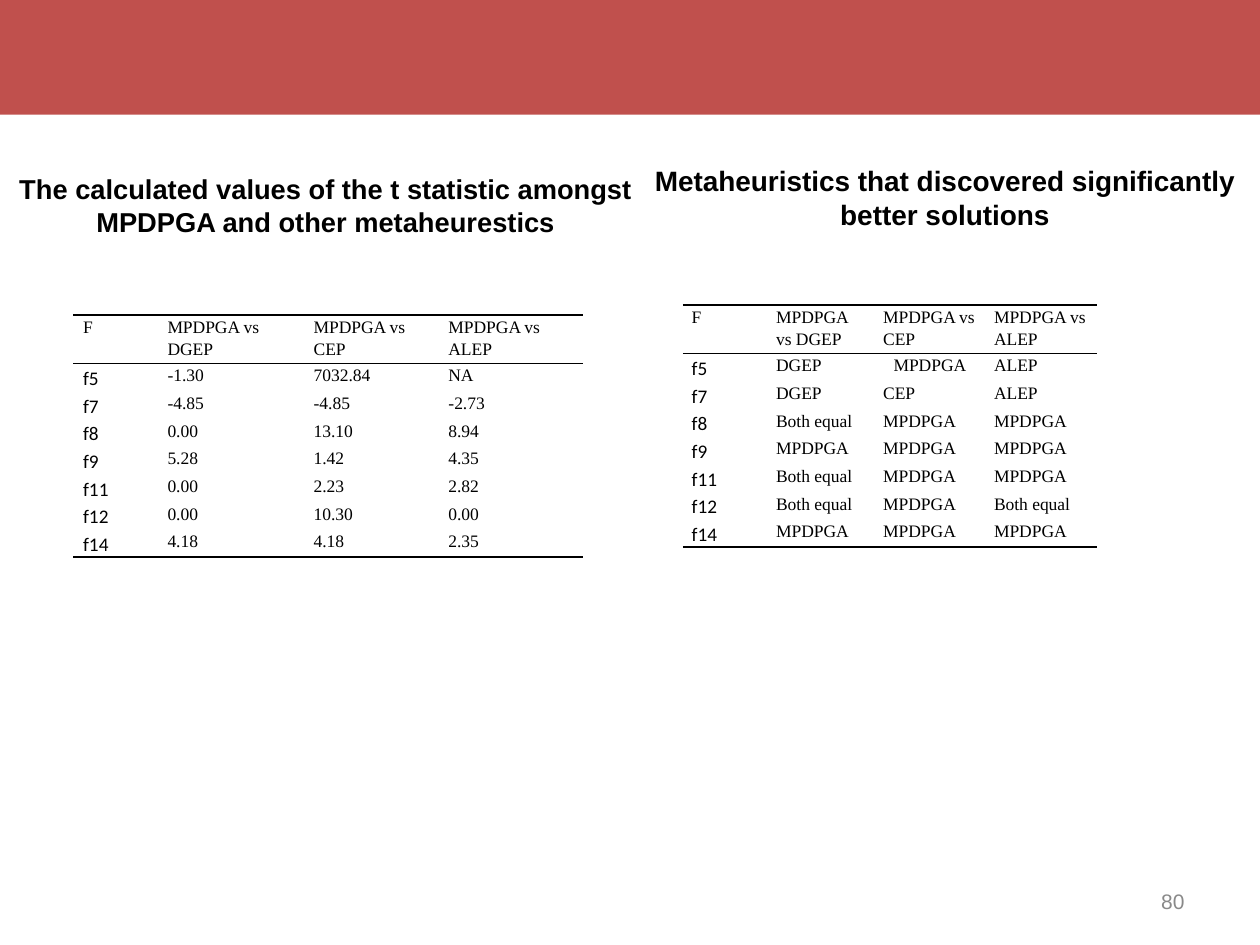
from lxml import etree
from pptx import Presentation, util as u
from pptx.dml.color import RGBColor
from pptx.enum import shapes, text
from pptx.oxml.ns import qn


def rgb(value):
    return RGBColor.from_string(value)


class Deck:
    ink, accent, muted = "000000", "C0504D", "898989"
    sans, serif, label = "Arial", "Times New Roman", "Calibri"

    def __init__(self):
        self.prs = Presentation()
        self.prs.slide_width, self.prs.slide_height = u.Inches(10), u.Inches(7.5)
        self.s = self.prs.slides.add_slide(self.prs.slide_layouts[6])

    def style(self, p, font, size, color, bold=False):
        for r in p.runs:
            r.font.name, r.font.size, r.font.bold = font, u.Pt(size), bold
            r.font.color.rgb = rgb(color)

    def text(self, box, words, size, color, align, anchor, bold=False):
        sp = self.s.shapes.add_textbox(*map(u.Inches, box))
        tf = sp.text_frame
        tf.word_wrap, tf.vertical_anchor = True, anchor
        tf.text = words
        p = tf.paragraphs[0]
        p.alignment = align
        self.style(p, self.sans, size, color, bold)

    def band(self, box):
        sp = self.s.shapes.add_shape(shapes.MSO_SHAPE.RECTANGLE, *map(u.Inches, box))
        sp.shadow.inherit = False
        sp.fill.solid()
        sp.fill.fore_color.rgb = rgb(self.accent)
        sp.line.fill.background()

    def borders(self, cell, ruled):
        tc_pr = cell._tc.get_or_add_tcPr()
        for side in ("lnL", "lnR", "lnT", "lnB"):
            ln = etree.SubElement(tc_pr, qn(f"a:{side}"), w=str(u.Pt(1)))
            if side in ruled:
                fill = etree.SubElement(ln, qn("a:solidFill"))
                etree.SubElement(fill, qn("a:srgbClr"), val=self.ink)
            else:
                etree.SubElement(ln, qn("a:noFill"))

    def table(self, left, top, widths, inset, rows):
        heights = [0.37] + [0.22] * (len(rows) - 1)
        box = left, top, sum(widths), sum(heights)
        tbl = self.s.shapes.add_table(len(rows), len(widths), *map(u.Inches, box)).table
        tbl.first_row = tbl.horz_banding = False
        for col, width in zip(tbl.columns, widths):
            col.width = u.Inches(width)
        for i, (row, height) in enumerate(zip(rows, heights)):
            tbl.rows[i].height = u.Inches(height)
            ruled = {0: ("lnT", "lnB"), 1: ("lnT",), len(rows) - 1: ("lnB",)}.get(i, ())
            for j, words in enumerate(row):
                cell = tbl.cell(i, j)
                cell.margin_left = cell.margin_right = u.Inches(inset)
                cell.margin_top = cell.margin_bottom = 0
                self.borders(cell, ruled)
                cell.fill.background()
                cell.text_frame.text = words
                p = cell.text_frame.paragraphs[0]
                p.line_spacing = 1.15
                if i and not j:
                    self.style(p, self.label, 11, self.ink)
                else:
                    p.space_after = u.Pt(10)
                    self.style(p, self.serif, 10, self.ink)
        return tbl


def main():
    deck = Deck()
    center, right = text.PP_ALIGN.CENTER, text.PP_ALIGN.RIGHT
    top, middle = text.MSO_ANCHOR.TOP, text.MSO_ANCHOR.MIDDLE
    header = ["F", "MPDPGA vs DGEP", "MPDPGA vs CEP", "MPDPGA vs ALEP"]
    mp, both = "MPDPGA", "Both equal"
    t_values = [
        header,
        ["f5", "-1.30", "7032.84", "NA"],
        ["f7", "-4.85", "-4.85", "-2.73"],
        ["f8", "0.00", "13.10", "8.94"],
        ["f9", "5.28", "1.42", "4.35"],
        ["f11", "0.00", "2.23", "2.82"],
        ["f12", "0.00", "10.30", "0.00"],
        ["f14", "4.18", "4.18", "2.35"],
    ]
    winners = [
        header,
        ["f5", "DGEP", mp, "ALEP"],
        ["f7", "DGEP", "CEP", "ALEP"],
        ["f8", both, mp, mp],
        ["f9", mp, mp, mp],
        ["f11", both, mp, mp],
        ["f12", both, mp, both],
        ["f14", mp, mp, mp],
    ]

    deck.text((0, 1.17, 5.17, 0.92),
              "The calculated values of the t statistic amongst MPDPGA and other metaheurestics",
              15.6, deck.ink, center, middle, True)
    deck.text((5, 1.25, 5, 0.64),
              "Metaheuristics that discovered significantly better solutions",
              16, deck.ink, center, top, True)
    deck.table(0.58, 2.5, [0.67, 1.16, 1.07, 1.15], 0.08, t_values)
    tbl = deck.table(5.42, 2.42, [0.67, 0.85, 0.88, 0.89], 0.07, winners)
    tbl.cell(1, 2).text_frame.paragraphs[0].alignment = center
    deck.text((7.17, 6.95, 2.33, 0.4), "80", 12, deck.muted, right, middle)
    deck.band((0, 0, 10, 0.91))
    deck.prs.save("out.pptx")


if __name__ == "__main__":
    main()
